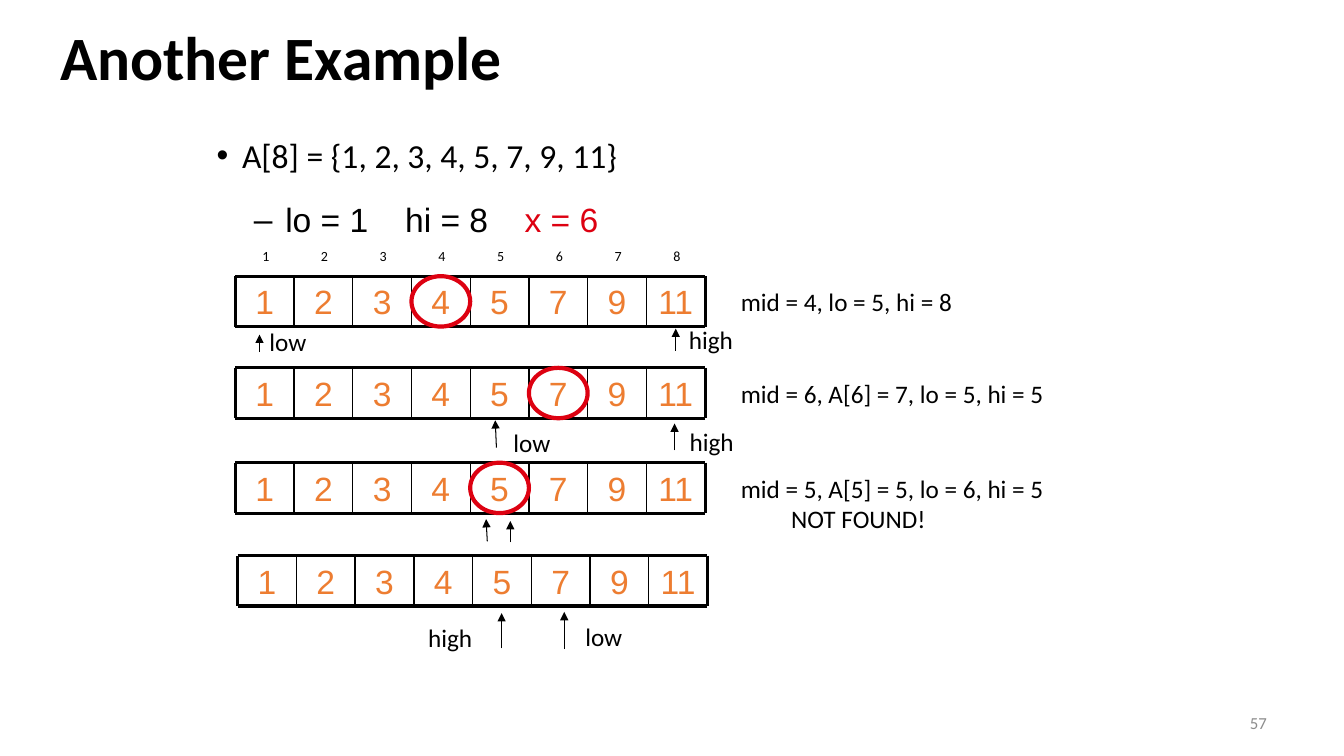
from lxml.etree import SubElement
from pptx import Presentation
from pptx.dml.color import RGBColor
from pptx.enum.shapes import MSO_CONNECTOR, MSO_SHAPE
from pptx.enum.text import MSO_ANCHOR, MSO_AUTO_SIZE, PP_ALIGN
from pptx.oxml.ns import qn
from pptx.util import Cm, Pt

BLACK = RGBColor(0x00, 0x00, 0x00)
RED = RGBColor(0xDD, 0x01, 0x11)
ORANGE = RGBColor(0xED, 0x7D, 0x31)
GRAY = RGBColor(0x8C, 0x8C, 0x8C)

TITLE = dict(name="Calibri", size=Pt(44), bold=True)
BODY = dict(name="Calibri", size=Pt(24))
DIGIT = dict(name="Arial", size=Pt(24))
NOTE = dict(name="Calibri", size=Pt(18))
INDEX = dict(name="Calibri", size=Pt(10))
PAGE = dict(name="Calibri", size=Pt(12))

VALUES = [1, 2, 3, 4, 5, 7, 9, 11]
CELL = 1.48
HIGH = 1.27

# Each step: left, top, ringed cell, note lines, note width,
# arrows (tail x, head x, tail y, head y) and labels (word, x, y),
# with x from the left and y from the bottom of the row
STEPS = [
    (5.93, 6.96, 3, ["mid = 4, lo = 5, hi = 8"], 7.62,
     [(0.61, 0.61, 0.64, 0.2), (11.1, 11.1, 0.61, 0.05)],
     [("low", 0.61, -0.13), ("high", 11.18, -0.18)]),
    (5.93, 9.27, 5, ["mid = 6, A[6] = 7, lo = 5, hi = 5"], 9.53,
     [(6.58, 6.55, 0.74, 0.05), (11.07, 11.07, 0.81, 0.13)],
     [("low", 6.76, 0.1), ("high", 11.2, 0.08)]),
    (5.93, 11.66, 4,
     ["mid = 5, A[5] = 5, lo = 6, hi = 5", "\tNOT FOUND!"], 9.53,
     [(6.35, 6.32, 0.71, 0.15), (6.93, 6.93, 0.74, 0.2)], []),
    (5.99, 14.0, None, [], 0,
     [(8.23, 8.23, 1.09, 0.15), (6.65, 6.65, 1.07, 0.18)],
     [("low", 8.51, 0.25), ("high", 4.55, 0.28)]),
]


def style(font, look, color):
    for key, val in look.items():
        setattr(font, key, val)
    font.color.rgb = color


def write(slide, box, lines, look, color=BLACK, align=PP_ALIGN.LEFT,
          anchor=MSO_ANCHOR.TOP, wrap=True, grow=False):
    frame = slide.shapes.add_textbox(*map(Cm, box)).text_frame
    fit = MSO_AUTO_SIZE.SHAPE_TO_FIT_TEXT if grow else MSO_AUTO_SIZE.NONE
    setup = dict(word_wrap=wrap, vertical_anchor=anchor, auto_size=fit)
    for key, val in setup.items():
        setattr(frame, key, val)
    for num, line in enumerate(lines):
        para = frame.add_paragraph() if num else frame.paragraphs[0]
        para.alignment = align
        run = para.add_run()
        run.text = line
        style(run.font, look, color)
    return frame.paragraphs[0]


def bullet(para, mark, left, hang, tabs=()):
    props = para._p.get_or_add_pPr()
    props.set("marL", str(Cm(left)))
    props.set("indent", str(-Cm(hang)))
    SubElement(props, qn("a:buFont"), typeface="Arial")
    SubElement(props, qn("a:buChar"), char=mark)
    if tabs:
        stops = SubElement(props, qn("a:tabLst"))
        for pos in tabs:
            SubElement(stops, qn("a:tab"), pos=str(Cm(pos)), algn="l")


def rule(slide, ends, width, arrow=False):
    link = slide.shapes.add_connector(MSO_CONNECTOR.STRAIGHT, *map(Cm, ends))
    link.line.color.rgb = BLACK
    link.line.width = Pt(width)
    props = link._element.spPr
    if arrow:
        SubElement(props.find(qn("a:ln")), qn("a:tailEnd"), type="triangle")
    SubElement(props, qn("a:effectLst"))


def ring(slide, box):
    oval = slide.shapes.add_shape(MSO_SHAPE.OVAL, *map(Cm, box))
    oval.shadow.inherit = False
    oval.fill.background()
    oval.line.color.rgb = RED
    oval.line.width = Pt(3)


def header(slide, left, top, width):
    # Title and the two bullets
    para = write(slide, (left, top, width, 2.51), ["Another Example"], TITLE,
                 anchor=MSO_ANCHOR.MIDDLE)
    para.line_spacing = 0.9
    para = write(slide, (left + 3.94, top + 3.1, 22.94, 1.27),
                 ["A[8] = {1, 2, 3, 4, 5, 7, 9, 11}"], BODY)
    bullet(para, "•", 0.64, 0.64)
    para.line_spacing = 0.9
    para = write(slide, (left + 3.61, top + 4.62, 22.94, 1.47),
                 ["lo = 1\thi = 8\t"], DIGIT)
    bullet(para, "–", 2.06, 0.79, (5.08, 8.09))
    run = para.add_run()
    run.text = "x = 6"
    style(run.font, DIGIT, RED)


def array(slide, left, top):
    # Cells, then the frame and the dividers
    right, base = left + CELL * len(VALUES), top + HIGH
    for col, val in enumerate(VALUES):
        write(slide, (left + col * CELL, top, CELL, HIGH), [str(val)], DIGIT,
              ORANGE, PP_ALIGN.CENTER, MSO_ANCHOR.MIDDLE)
    for y in (top, base):
        rule(slide, (left, y, right, y), 2.25)
    for col in range(len(VALUES) + 1):
        x = left + col * CELL
        rule(slide, (x, top, x, base), 2.25 if col in (0, len(VALUES)) else 1)


def indices(slide, left, top):
    for col in range(len(VALUES)):
        write(slide, (left + 0.43 + col * CELL, top, 0.64, 0.69),
              [str(col + 1)], INDEX, grow=True)


def step(slide, left, top, hit, note, width, arrows, labels):
    base = top + HIGH
    array(slide, left, top)
    if hit is not None:
        ring(slide, (left + hit * CELL, top, CELL, HIGH))
    if note:
        write(slide, (left + 12.49, top + 0.13, width, 0.26 + 0.76 * len(note)),
              note, NOTE, grow=True)
    # Pointers under the row
    for x1, x2, y1, y2 in arrows:
        rule(slide, (left + x1, base + y1, left + x2, base + y2), 0.75, True)
    for word, x, y in labels:
        write(slide, (left + x, base + y, 1.47 if word == "low" else 1.65, 1.02),
              [word], NOTE, wrap=False, grow=True)


def footer(slide, left, top):
    write(slide, (left, top, 7.9, 0.89), ["57"], PAGE, GRAY, PP_ALIGN.RIGHT,
          MSO_ANCHOR.MIDDLE)


def main():
    deck = Presentation()
    deck.slide_width, deck.slide_height = Cm(33.87), Cm(19.05)
    slide = deck.slides.add_slide(deck.slide_layouts[6])
    header(slide, 1.27, 0.28, 30.48)
    indices(slide, 5.93, 6.12)
    for row in STEPS:
        step(slide, *row)
    footer(slide, 24.28, 17.78)
    deck.save("out.pptx")


if __name__ == "__main__":
    main()
